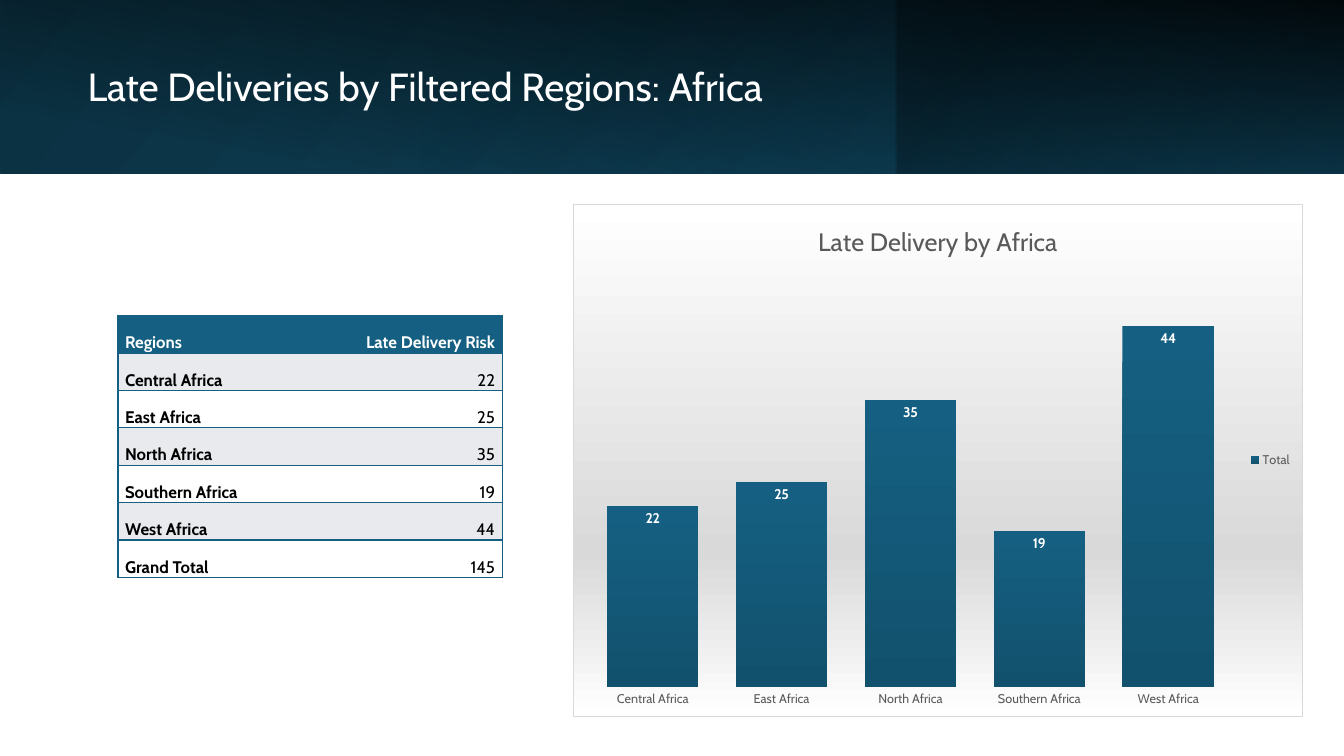
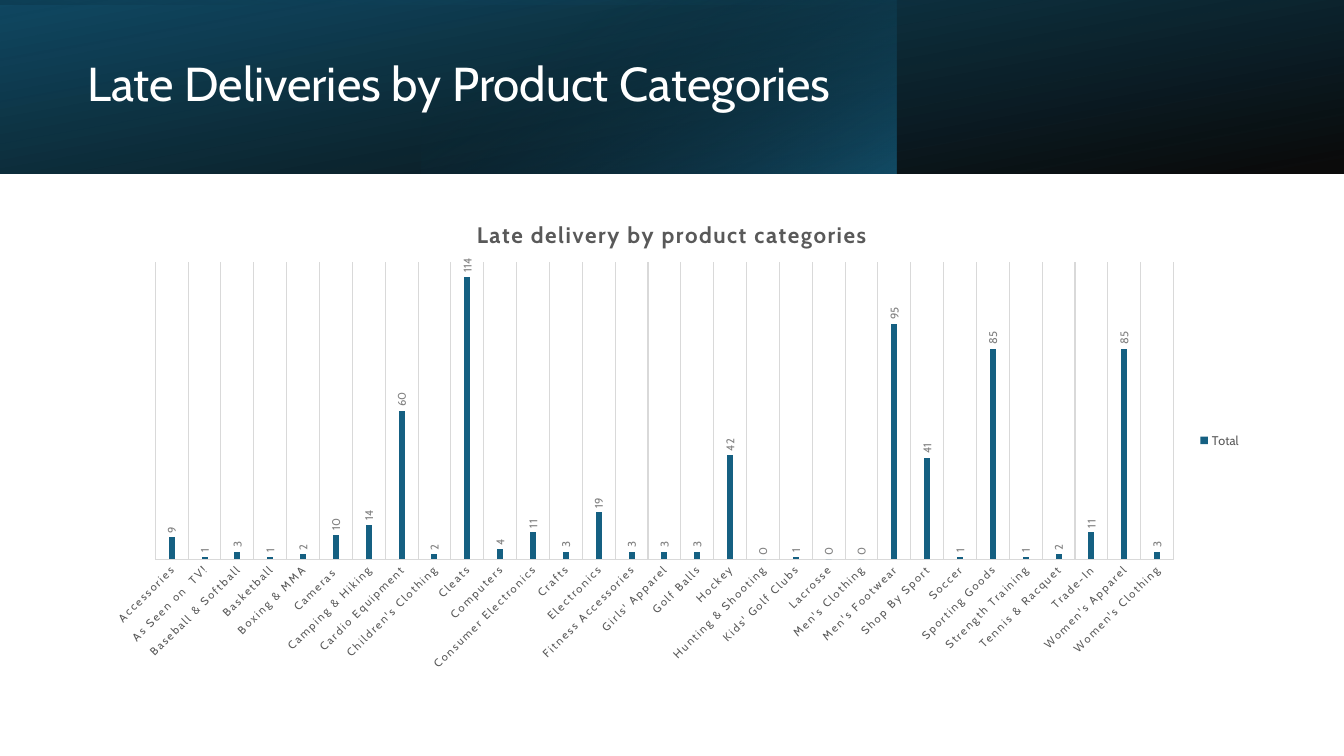
"""Build two slides on late deliveries, by African region and by product category."""
import pptx
import pptx.chart.data
import pptx.dml.color
import pptx.enum.chart
import pptx.enum.shapes
import pptx.enum.text
import pptx.oxml
import pptx.oxml.ns
import pptx.util

COLORS = {
    "white": "FFFFFF", "black": "000000", "teal": "156082", "navy": "0B3041",
    "ocean": "104862", "deep": "12516D", "stripe": "E8EAED", "rule": "D9D9D9",
    "text": "595959", "label": "808080",
}
FONT = "Cabin"
WIDTH, HEIGHT = 13.33, 7.5
BAND = 1.72
SPLIT = WIDTH * 2 / 3
FULL = (0, WIDTH)
RIGHT = (SPLIT, WIDTH - SPLIT)
GLOW = (SPLIT - 4.71, 4.71)

REGIONS = [
    ("Central Africa", 22), ("East Africa", 25), ("North Africa", 35),
    ("Southern Africa", 19), ("West Africa", 44),
]
CATEGORIES = [
    ("Accessories", 9), ("As Seen on  TV!", 1), ("Baseball & Softball", 3),
    ("Basketball", 1), ("Boxing & MMA", 2), ("Cameras ", 10),
    ("Camping & Hiking", 14), ("Cardio Equipment", 60),
    ("Children's Clothing", 2), ("Cleats", 114), ("Computers", 4),
    ("Consumer Electronics", 11), ("Crafts", 3), ("Electronics", 19),
    ("Fitness Accessories", 3), ("Girls' Apparel", 3), ("Golf Balls", 3),
    ("Hockey", 42), ("Hunting & Shooting", 0), ("Kids' Golf Clubs", 1),
    ("Lacrosse", 0), ("Men's Clothing", 0), ("Men's Footwear", 95),
    ("Shop By Sport", 41), ("Soccer", 1), ("Sporting Goods", 85),
    ("Strength Training", 1), ("Tennis & Racquet", 2), ("Trade-In", 11),
    ("Women's Apparel", 85), ("Women's Clothing", 3),
]
TABLE_ROWS = [
    ("Regions", "Late Delivery Risk"), *REGIONS,
    ("Grand Total", sum(value for _, value in REGIONS)),
]

# Each layer: span, rotation, flipped, gradient angle, stops (place, colour, opacity)
REGION_BAND = [
    (FULL, 0, True, 140, [(0, "navy", 100), (100, "ocean", 100)]),
    (RIGHT, 180, True, 320, [(19, "navy", 68), (100, "teal", 79)]),
    (FULL, 90, False, 190, [(16, "black", 0), (99, "black", 87)]),
    (GLOW, 0, False, 240, [(0, "teal", 17), (74, "navy", 0)]),
]
CATEGORY_BAND = [
    (FULL, 180, True, 100, [(0, "black", 96), (100, "ocean", 100)]),
    (FULL, 270, False, 190, [(19, "teal", 0), (99, "black", 74)]),
    (GLOW, 0, False, 240, [(0, "teal", 72), (74, "navy", 0)]),
]


def inches(*lengths):
    """Convert lengths in inches."""
    return [pptx.util.Inches(length) for length in lengths]


def color(name):
    """Look up a palette colour."""
    return pptx.dml.color.RGBColor.from_string(COLORS[name])


def style_font(font, size, name, bold=False):
    """Set the deck's font with a size and colour."""
    font.name = FONT
    font.size = pptx.util.Pt(size)
    font.bold = bold
    font.color.rgb = color(name)


def drawing(tag, content, attributes=""):
    """Parse one drawing element."""
    spaces = pptx.oxml.ns.nsdecls("a", "c")
    return pptx.oxml.parse_xml(f"<{tag} {spaces} {attributes}>{content}</{tag}>")


def solid(name):
    """Return the markup of a solid fill."""
    return f'<a:solidFill><a:srgbClr val="{COLORS[name]}"/></a:solidFill>'


def gradient(stops, angle):
    """Return a linear gradient element."""
    marks = "".join(
        f'<a:gs pos="{place * 1000}"><a:srgbClr val="{COLORS[name]}">'
        f'<a:alpha val="{opacity * 1000}"/></a:srgbClr></a:gs>'
        for place, name, opacity in stops
    )
    return drawing(
        "a:gradFill",
        f'<a:gsLst>{marks}</a:gsLst><a:lin ang="{angle * 60000}" scaled="0"/>',
        'rotWithShape="1"',
    )


def paint(fill, properties, stops, angle):
    """Give a fill its gradient."""
    fill.background()
    empty = properties.find(pptx.oxml.ns.qn("a:noFill"))
    properties.replace(empty, gradient(stops, angle))


def add_layer(page, span, rotation, flipped, angle, stops):
    """Add one gradient layer of the title band."""
    left, width = span
    top, height = 0, BAND
    if rotation % 180:
        left, top = left + (width - height) / 2, (height - width) / 2
        width, height = height, width
    layer = page.shapes.add_shape(
        pptx.enum.shapes.MSO_SHAPE.RECTANGLE, *inches(left, top, width, height)
    )
    layer.rotation = rotation
    layer.shadow.inherit = False
    layer.line.fill.background()
    properties = layer.element.spPr
    if flipped:
        properties.xfrm.set("flipH", "1")
    paint(layer.fill, properties, stops, angle)


def add_page(deck, layers, title, size, top, height):
    """Add a slide with its band and title."""
    page = deck.slides.add_slide(deck.slide_layouts[6])
    for layer in layers:
        add_layer(page, *layer)
    box = page.shapes.add_textbox(*inches(0.77, top, 7.84, height))
    frame = box.text_frame
    frame.word_wrap = True
    frame.vertical_anchor = pptx.enum.text.MSO_ANCHOR.MIDDLE
    paragraph = frame.paragraphs[0]
    paragraph.text = title
    paragraph.line_spacing = 0.9
    style_font(paragraph.font, size, "white")
    return page


def add_borders(cell, hidden):
    """Draw teal borders around a cell, leaving out the hidden side."""
    properties = cell._tc.get_or_add_tcPr()
    for position, side in enumerate("LRTB"):
        line = "<a:noFill/>" if side == hidden else solid("teal")
        properties.insert(position, drawing(f"a:ln{side}", line, 'w="12700"'))


def add_region_table(page):
    """Add the table of late deliveries by region."""
    columns = (1.8, 2.01)
    table = page.shapes.add_table(
        len(TABLE_ROWS), len(columns), *inches(1.17, 3.13, sum(columns), 2.6)
    ).table
    table.horz_banding = False
    for column, width in zip(table.columns, columns):
        column.width = pptx.util.Inches(width)
    for row, values in enumerate(TABLE_ROWS):
        header = row == 0
        background = "teal" if header else "stripe" if row % 2 else "white"
        for column, value in enumerate(values):
            cell = table.cell(row, column)
            cell.margin_left = cell.margin_right = pptx.util.Inches(0.07)
            cell.margin_top = cell.margin_bottom = 0
            cell.vertical_anchor = pptx.enum.text.MSO_ANCHOR.BOTTOM
            cell.fill.solid()
            cell.fill.fore_color.rgb = color(background)
            add_borders(cell, "L" if column else "R")
            paragraph = cell.text_frame.paragraphs[0]
            paragraph.text = str(value)
            if column:
                paragraph.alignment = pptx.enum.text.PP_ALIGN.RIGHT
            style_font(
                paragraph.font, 12, "white" if header else "black",
                header or column == 0,
            )


def place_plot(chart, place, plot_place):
    """Fix the inner plot area, given in inches on the slide."""
    left, top, width, height = place
    plot_left, plot_top, plot_width, plot_height = plot_place
    shares = (
        (plot_left - left) / width, (plot_top - top) / height,
        plot_width / width, plot_height / height,
    )
    modes = '<c:layoutTarget val="inner"/><c:xMode val="edge"/><c:yMode val="edge"/>'
    sizes = "".join(f'<c:{key} val="{share}"/>' for key, share in zip("xywh", shares))
    layout = drawing("c:layout", f"<c:manualLayout>{modes}{sizes}</c:manualLayout>")
    plot_area = chart.element.xpath("//c:plotArea")[0]
    for previous in plot_area.findall(pptx.oxml.ns.qn("c:layout")):
        plot_area.remove(previous)
    plot_area.insert(0, layout)


def add_column_chart(page, place, rows, title, title_size, bold, maximum, gap, plot_place,
                     axis_size, label_size, label_color, label_bold, label_position):
    """Add a column chart of late deliveries."""
    data = pptx.chart.data.CategoryChartData()
    data.categories = [name for name, _ in rows]
    data.add_series("Total", [value for _, value in rows])
    chart = page.shapes.add_chart(
        pptx.enum.chart.XL_CHART_TYPE.COLUMN_CLUSTERED, *inches(*place), data
    ).chart
    style_font(chart.font, 10, "black")
    chart.has_title = True
    paragraph = chart.chart_title.text_frame.paragraphs[0]
    paragraph.text = title
    style_font(paragraph.runs[0].font, title_size, "text", bold)
    chart.has_legend = True
    chart.legend.position = pptx.enum.chart.XL_LEGEND_POSITION.RIGHT
    chart.legend.include_in_layout = False
    style_font(chart.legend.font, 9, "text")
    values = chart.value_axis
    values.visible = False
    values.has_major_gridlines = False
    values.minimum_scale, values.maximum_scale = 0, maximum
    axis = chart.category_axis
    axis.major_tick_mark = pptx.enum.chart.XL_TICK_MARK.NONE
    style_font(axis.tick_labels.font, axis_size, "text")
    plot = chart.plots[0]
    plot.vary_by_categories = False
    plot.gap_width = gap
    plot.has_data_labels = True
    labels = plot.data_labels
    labels.show_value = True
    labels.position = label_position
    style_font(labels.font, label_size, label_color, label_bold)
    fill = plot.series[0].format.fill
    fill.solid()
    fill.fore_color.rgb = color("teal")
    place_plot(chart, place, plot_place)
    return chart


def add_region_chart(page):
    """Add the shaded chart by region."""
    chart = add_column_chart(
        page, (5.68, 2.02, 7.24, 5.09), REGIONS, "Late Delivery by Africa", 18, False,
        50, 41, (5.83, 2.74, 6.4, 4.08), 9, 10, "white", True,
        pptx.enum.chart.XL_LABEL_POSITION.INSIDE_END,
    )
    chart.category_axis.format.line.fill.background()
    paint(
        chart.plots[0].series[0].format.fill, chart.element.xpath("//c:ser/c:spPr")[0],
        [(0, "teal", 100), (100, "deep", 100)], 90,
    )
    panel = drawing("c:spPr", f'<a:ln w="9525">{solid("rule")}</a:ln>')
    shades = [(0, "white", 100), (68, "rule", 100), (100, "white", 100)]
    panel.insert(0, gradient(shades, 90))
    chart.element.find(pptx.oxml.ns.qn("c:chart")).addnext(panel)


def add_category_chart(page):
    """Add the chart by product category, with turned labels."""
    chart = add_column_chart(
        page, (0.92, 1.99, 11.49, 4.76), CATEGORIES,
        "Late delivery by product categories", 16, True, 120, 444,
        (1.54, 2.6, 10.1, 2.95), 8, 8, "label", False,
        pptx.enum.chart.XL_LABEL_POSITION.OUTSIDE_END,
    )
    chart.plots[0].overlap = -90
    axis = chart.category_axis
    axis.has_major_gridlines = True
    for line in (axis.format.line, axis.major_gridlines.format.line):
        line.color.rgb = color("rule")
        line.width = pptx.util.Pt(0.75)
    for parent, degrees in (("catAx", -45), ("dLbls", -90)):
        body = chart.element.xpath(f"//c:{parent}/c:txPr/a:bodyPr")[0]
        body.set("rot", str(degrees * 60000))
        body.set("vert", "horz")
    for spaced in chart.element.xpath("//c:title//a:rPr | //c:catAx/c:txPr//a:defRPr"):
        spaced.set("spc", "120")


def main():
    """Build and save the deck."""
    deck = pptx.Presentation()
    deck.slide_width, deck.slide_height = inches(WIDTH, HEIGHT)
    page = add_page(
        deck, REGION_BAND, "Late Deliveries by Filtered Regions: Africa", 28, 0.39, 0.98
    )
    add_region_table(page)
    add_region_chart(page)
    page = add_page(
        deck, CATEGORY_BAND, "Late Deliveries by Product Categories", 34, 0.32, 1.07
    )
    add_category_chart(page)
    deck.save("out.pptx")


if __name__ == "__main__":
    main()
